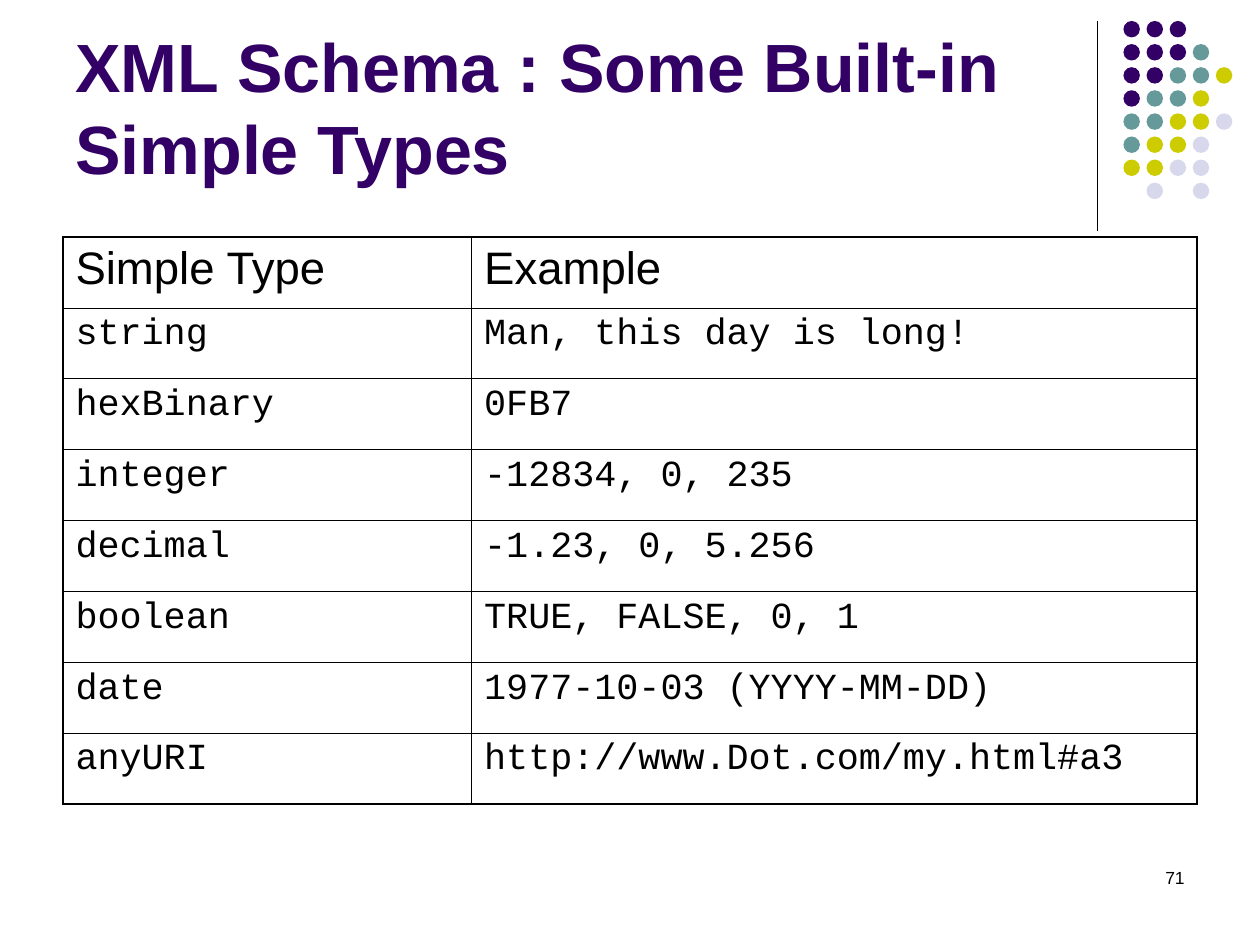
from lxml.etree import SubElement as Sub
from pptx import Presentation
from pptx.dml.color import RGBColor as RGB
from pptx.enum.shapes import MSO_CONNECTOR as Conn, MSO_SHAPE as Shape
from pptx.enum.text import MSO_ANCHOR as Anchor, PP_ALIGN as Align
from pptx.oxml.ns import qn
from pptx.util import Pt

HUES = {
    "ink": "000000",
    "plum": "330066",
    "teal": "669999",
    "lime": "CCCC00",
    "mist": "D8D8EC",
}
DOTS = ["ppp", "pppt", "ppttl", "pttl", "ttllm", "tllm", "llmm", " m m"]
KEYS = {"p": "plum", "t": "teal", "l": "lime", "m": "mist"}
ROWS = [
    ("Simple Type", "Example"),
    ("string", "Man, this day is long!"),
    ("hexBinary", "0FB7"),
    ("integer", "-12834, 0, 235"),
    ("decimal", "-1.23, 0, 5.256"),
    ("boolean", "TRUE, FALSE, 0, 1"),
    ("date", "1977-10-03 (YYYY-MM-DD)"),
    ("anyURI", "http://www.Dot.com/my.html#a3"),
]


def hue(name):
    return RGB.from_string(HUES[name])


def set_text(frame, text, size, face="Arial", tint="ink", bold=False):
    frame.text = text
    para = frame.paragraphs[0]
    font = para.runs[0].font
    font.size, font.name, font.bold = Pt(size), face, bold
    font.color.rgb = hue(tint)
    return para


def add_text(slide, box, text, size, **style):
    frame = slide.shapes.add_textbox(*map(Pt, box)).text_frame
    frame.word_wrap = True
    return frame, set_text(frame, text, size, **style)


def add_rule(slide, x, top, end):
    rule = slide.shapes.add_connector(
        Conn.STRAIGHT, Pt(x), Pt(top), Pt(x), Pt(end))
    rule.line.color.rgb = hue("ink")
    rule.line.width = Pt(0.75)
    Sub(rule._element.spPr, qn("a:effectLst"))


def add_dots(slide, left, top, step, size):
    group = slide.shapes.add_group_shape()
    for row, line in enumerate(DOTS):
        for col, key in enumerate(line):
            if key == " ":
                continue
            dot = group.shapes.add_shape(
                Shape.OVAL, Pt(left + col * step), Pt(top + row * step),
                Pt(size), Pt(size))
            dot.shadow.inherit = False
            dot.fill.solid()
            dot.fill.fore_color.rgb = hue(KEYS[key])
            dot.line.fill.background()


def set_edge(cell, side, width):
    edge = Sub(cell._tc.get_or_add_tcPr(), qn(f"a:ln{side}"), w=str(Pt(width)))
    fill = Sub(edge, qn("a:solidFill"))
    Sub(fill, qn("a:srgbClr"), val=HUES["ink"])


def add_grid(slide, box, widths):
    last, end = len(ROWS) - 1, len(widths) - 1
    table = slide.shapes.add_table(
        len(ROWS), len(widths), *map(Pt, box)).table
    table.first_row = table.horz_banding = False
    for col, width in zip(table.columns, widths):
        col.width = Pt(width)
    for r, line in enumerate(ROWS):
        for c, text in enumerate(line):
            cell = table.cell(r, c)
            size, face = (21, "Courier New") if r else (26, "Arial")
            para = set_text(cell.text_frame, text, size, face)
            para.space_before = Pt(size / 4)
            outer = {"L": c == 0, "R": c == end, "T": r == 0, "B": r == last}
            for side, thick in outer.items():
                set_edge(cell, side, 1.08 if thick else 0.45)
            cell.fill.background()


def main():
    deck = Presentation()
    deck.slide_width, deck.slide_height = Pt(720), Pt(540)
    slide = deck.slides.add_slide(deck.slide_layouts[6])
    add_rule(slide, 627, 12, 132)
    add_dots(slide, 642, 12, 13.2, 9.4)
    _, para = add_text(slide, (516, 492, 168, 36), "71", 10)
    para.alignment = Align.RIGHT
    frame, _ = add_text(
        slide, (36, 9, 594, 102), "XML Schema : Some Built-in Simple Types",
        39, tint="plum", bold=True)
    frame.vertical_anchor = Anchor.BOTTOM
    add_grid(slide, (36, 135.5, 648, 324), (233.5, 414.5))
    deck.save("out.pptx")


if __name__ == "__main__":
    main()
